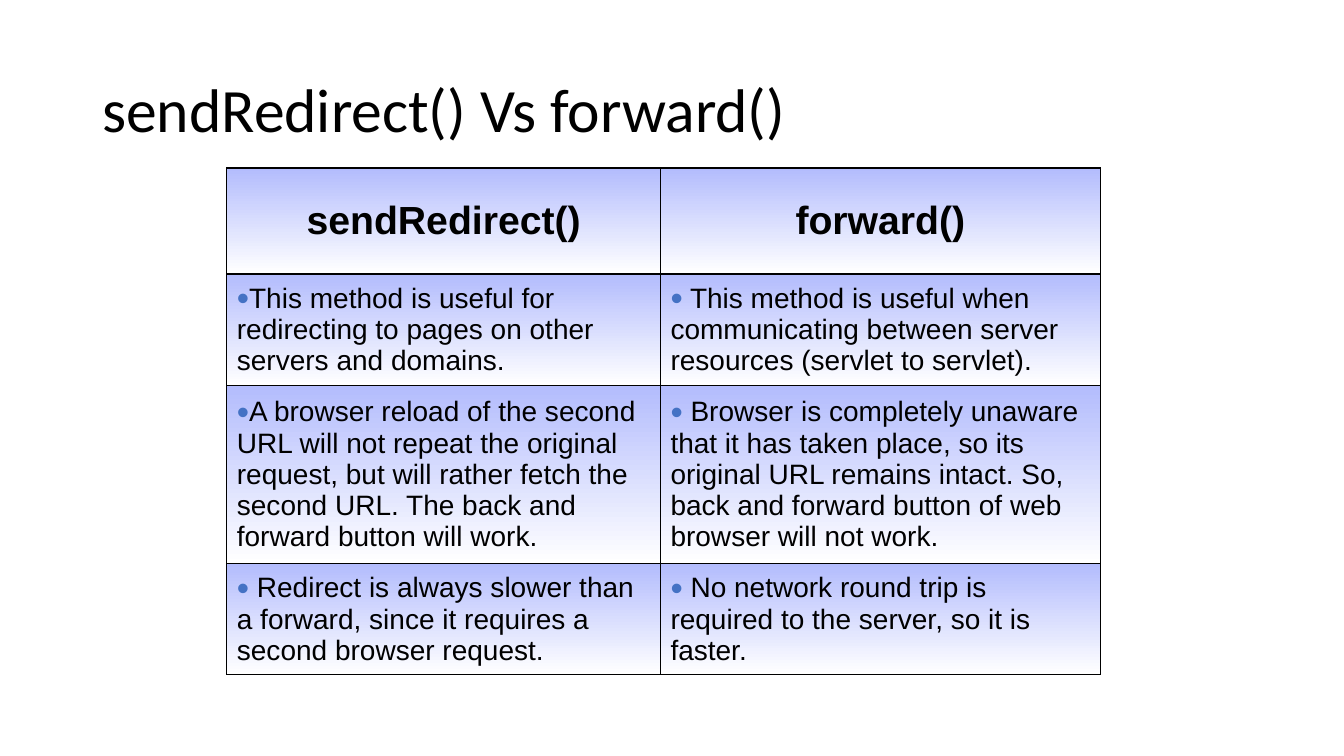
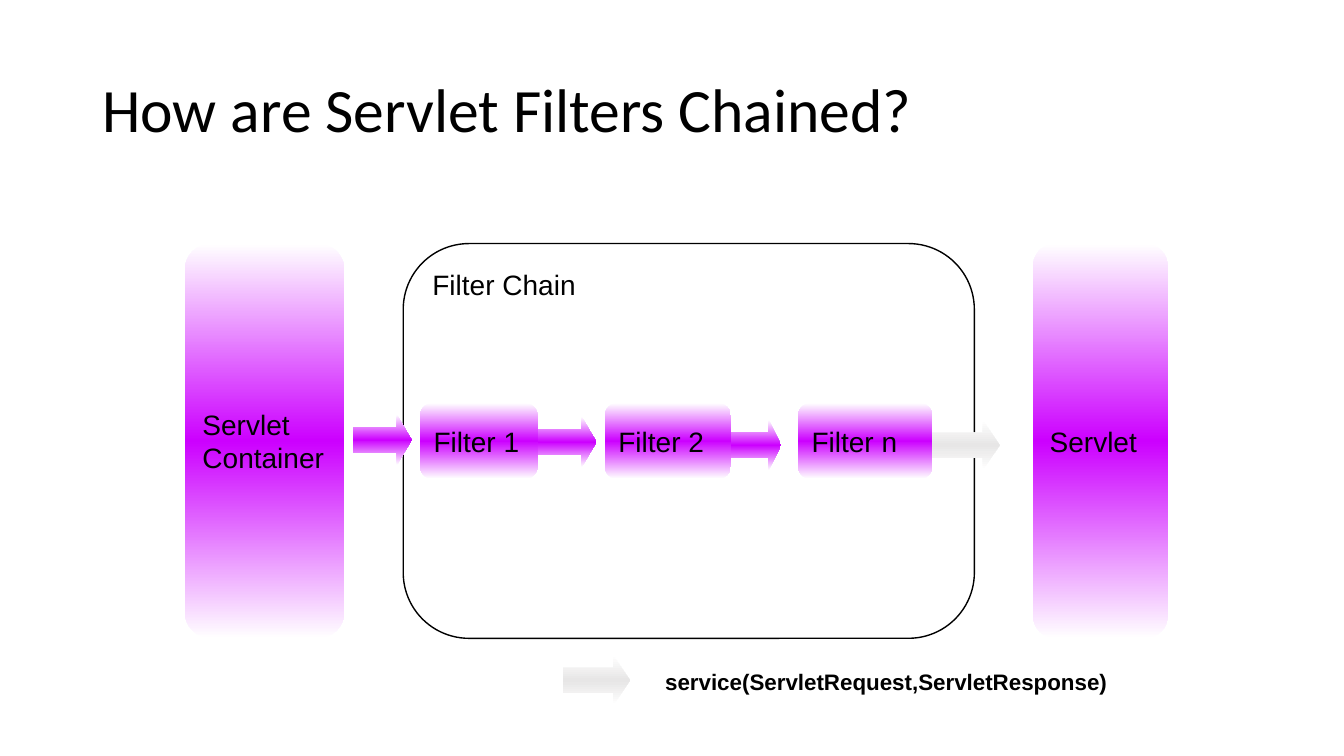
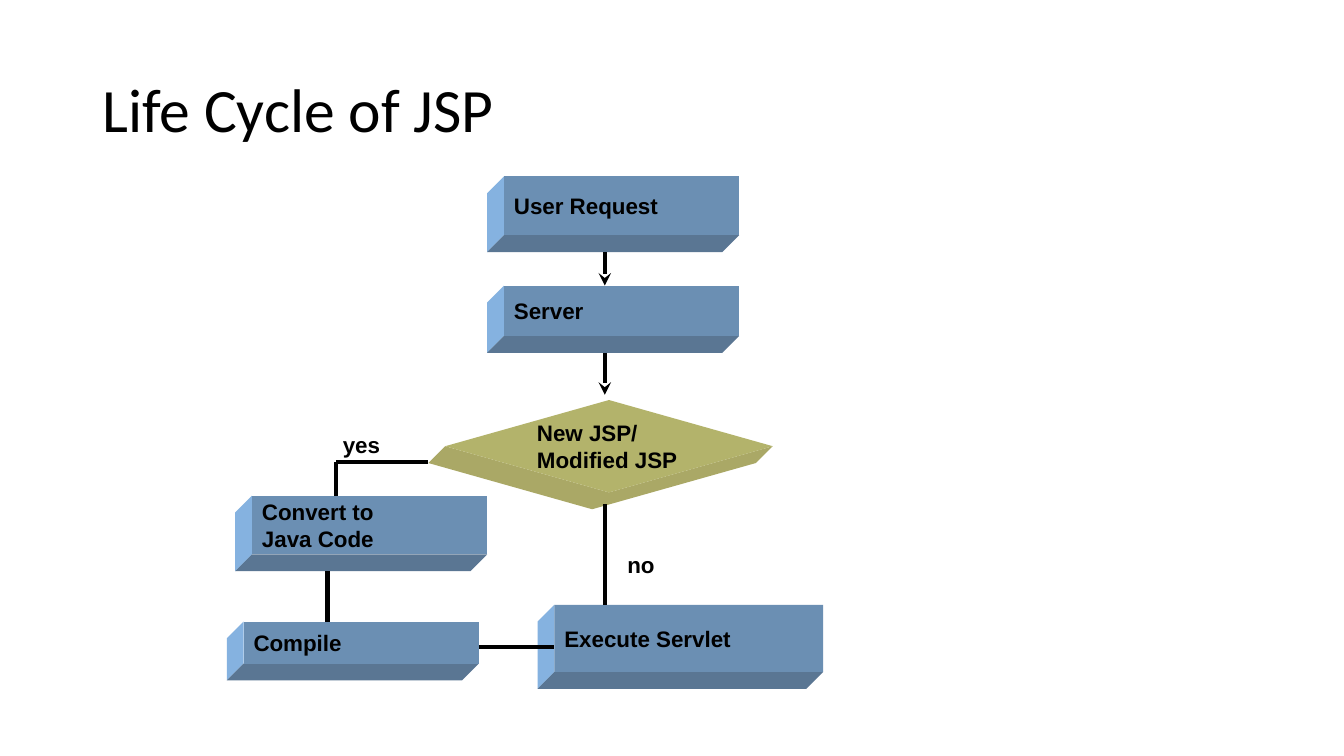
from lxml.etree import SubElement
from pptx import Presentation
from pptx.dml.color import RGBColor
from pptx.enum.shapes import MSO_CONNECTOR, MSO_SHAPE
from pptx.enum.text import MSO_ANCHOR, PP_ALIGN
from pptx.oxml.ns import qn
from pptx.util import Pt

EMU_PER_PX = 9525
SLIDE_W, SLIDE_H = 1280, 720
BLACK, WHITE = "000000", "FFFFFF"
PERIWINKLE, BULLET_BLUE = "B3BCFD", "4472C4"
MAGENTA, PALE_GREY = "CC00FF", "E7E6E6"
BLOCK_FACE, BLOCK_LEFT, BLOCK_BASE = "6B8FB3", "85B2E0", "5A7693"
DECISION_FACE, DECISION_SIDE = "B3B36B", "AAA866"
DEPTH = 16


def px(*lengths):
    return [round(length * EMU_PER_PX) for length in lengths]


def rgb(hex_colour):
    return RGBColor.from_string(hex_colour)


# Shared styling
def paint_gradient(fill, *colours):
    """Spread the colours evenly from top to bottom."""
    fill.gradient()
    fill.gradient_angle = 270
    stops = fill._xPr.find(".//" + qn("a:gsLst"))
    stops.clear()
    for i, colour in enumerate(colours):
        stop = SubElement(stops, qn("a:gs"), pos=str(100000 * i // (len(colours) - 1)))
        SubElement(stop, qn("a:srgbClr"), val=colour)


def write(frame, text, size, bold=False, font="Arial", anchor=MSO_ANCHOR.MIDDLE,
          wrap=True, align=PP_ALIGN.LEFT):
    frame.word_wrap = wrap
    frame.vertical_anchor = anchor
    frame.text = text
    for paragraph in frame.paragraphs:
        paragraph.alignment = align
        style_font(paragraph.font, size, bold, font)


def style_font(font, size, bold, name="Arial"):
    font.name, font.size, font.bold = name, Pt(size), bold
    font.color.rgb = rgb(BLACK)


def add_label(slide, box, text, size, **style):
    label = slide.shapes.add_textbox(*px(*box))
    write(label.text_frame, text, size, **style)
    return label


def add_plain_shape(slide, kind, box):
    shape = slide.shapes.add_shape(kind, *px(*box))
    shape.shadow.inherit = False
    shape.line.fill.background()
    return shape


def add_line(slide, start, end, width, arrow=False):
    line = slide.shapes.add_connector(MSO_CONNECTOR.STRAIGHT, *px(*start, *end))
    line.line.color.rgb = rgb(BLACK)
    line.line.width = Pt(width)
    if arrow:
        SubElement(line.line._get_or_add_ln(), qn("a:tailEnd"), type="stealth")
    SubElement(line._element.spPr, qn("a:effectLst"))


def add_titled_slide(deck, title, shadowed=False):
    slide = deck.slides.add_slide(deck.slide_layouts[6])
    heading = add_label(slide, (88, 38, 1104, 139), title, 44, font="Calibri")
    paragraph = heading.text_frame.paragraphs[0]
    paragraph.line_spacing = 0.9
    if shadowed:
        effects = SubElement(paragraph.runs[0].font._rPr, qn("a:effectLst"))
        shadow = SubElement(effects, qn("a:outerShdw"), dist="25400", dir="2700000")
        SubElement(shadow, qn("a:srgbClr"), val="808080")
    return slide


# Comparison table
def add_borders(cell):
    properties = cell._tc.get_or_add_tcPr()
    for side in ("lnL", "lnR", "lnT", "lnB"):
        border = SubElement(properties, qn("a:" + side), w=str(Pt(1)))
        SubElement(SubElement(border, qn("a:solidFill")), qn("a:srgbClr"), val=BLACK)


def add_bullet(paragraph):
    properties = paragraph._p.get_or_add_pPr()
    properties.set("marL", "0")
    properties.set("indent", "0")
    SubElement(SubElement(properties, qn("a:buClr")), qn("a:srgbClr"), val=BULLET_BLUE)
    SubElement(properties, qn("a:buSzPct"), val="125000")
    SubElement(properties, qn("a:buFont"), typeface="Arial")
    SubElement(properties, qn("a:buChar"), char="•")


def add_comparison(slide, left, top, col_widths, row_heights, rows):
    box = px(left, top, sum(col_widths), sum(row_heights))
    table = slide.shapes.add_table(len(rows), len(col_widths), *box).table
    for column, width in zip(table.columns, px(*col_widths)):
        column.width = width
    for row, height in zip(table.rows, px(*row_heights)):
        row.height = height
    for r, texts in enumerate(rows):
        for c, text in enumerate(texts):
            cell = table.cell(r, c)
            add_borders(cell)
            paint_gradient(cell.fill, PERIWINKLE, WHITE)
            cell.vertical_anchor = MSO_ANCHOR.MIDDLE
            cell.text = text
            paragraph = cell.text_frame.paragraphs[0]
            if r == 0:
                paragraph.alignment = PP_ALIGN.CENTER
                style_font(paragraph.font, 28, True)
            else:
                add_bullet(paragraph)
                style_font(paragraph.font, 20, False)


def build_comparison_slide(deck):
    slide = add_titled_slide(deck, "sendRedirect() Vs forward()")
    add_comparison(slide, 216, 160, (413, 419), (101, 106, 170, 105), [
        ("sendRedirect()", "forward()"),
        ("This method is useful for redirecting to pages on other servers and domains.",
         " This method is useful when communicating between server resources "
         "(servlet to servlet)."),
        ("A browser reload of the second URL will not repeat the original request, but will "
         "rather fetch the second URL. The back and forward button will work.",
         " Browser is completely unaware that it has taken place, so its original URL remains "
         "intact. So, back and forward button of web browser will not work."),
        (" Redirect is always slower than a forward, since it requires a second "
         "browser request.",
         " No network round trip is required to the server, so it is faster."),
    ])


# Filter chain diagram
def add_stage(slide, box, text):
    stage = add_plain_shape(slide, MSO_SHAPE.ROUNDED_RECTANGLE, box)
    paint_gradient(stage.fill, WHITE, MAGENTA, WHITE)
    write(stage.text_frame, text, 20)


def add_flow_arrow(slide, left, top, width, colour=MAGENTA, height=48):
    arrow = add_plain_shape(slide, MSO_SHAPE.RIGHT_ARROW, (left, top, width, height))
    arrow.adjustments[1] = width / height / 4
    paint_gradient(arrow.fill, WHITE, colour, WHITE)


def add_filter_chain(slide, left, top, width, height):
    chain = add_plain_shape(slide, MSO_SHAPE.ROUNDED_RECTANGLE, (left, top, width, height))
    chain.fill.background()
    chain.line.color.rgb = rgb(BLACK)
    chain.line.width = Pt(1)
    write(chain.text_frame, "Filter Chain", 20, anchor=MSO_ANCHOR.TOP)
    for dx, filter_width, name in ((16, 112, "Filter 1"), (192, 120, "Filter 2"),
                                   (376, 128, "Filter n")):
        add_stage(slide, (left + dx, top + 152, filter_width, 72), name)
    add_flow_arrow(slide, left + 128, top + 165, 56)
    add_flow_arrow(slide, left + 312, top + 168, 48)
    add_flow_arrow(slide, left + 504, top + 168, 64, PALE_GREY)
    # Entry into the chain
    add_line(slide, (left, top + 168), (left, top + 208), 1)
    add_flow_arrow(slide, left - 48, top + 163, 56)


def add_legend(slide, left, top):
    add_flow_arrow(slide, left, top, 64, PALE_GREY)
    add_label(slide, (left + 88, top + 8, 448, 36), "service(ServletRequest,ServletResponse)",
              16, bold=True, anchor=MSO_ANCHOR.TOP)


def build_filter_slide(deck):
    slide = add_titled_slide(deck, "How are Servlet Filters Chained?")
    top, height = 232, 376
    add_stage(slide, (176, top, 152, height), "Servlet Container")
    add_stage(slide, (984, top, 128, height), "Servlet")
    add_filter_chain(slide, 384, top, 544, height)
    add_legend(slide, 536, 624)


# Life cycle flowchart
def add_side(slide, edge, colour):
    """Extrude an edge of a front face down and to the left."""
    outline = edge + [(x - DEPTH, y + DEPTH) for x, y in reversed(edge)]
    builder = slide.shapes.build_freeform(*outline[0], scale=EMU_PER_PX)
    builder.add_line_segments(outline[1:], close=True)
    side = builder.convert_to_shape()
    side.shadow.inherit = False
    side.fill.solid()
    side.fill.fore_color.rgb = rgb(colour)
    side.line.fill.background()


def add_face(slide, kind, box, text, colour):
    face = add_plain_shape(slide, kind, box)
    face.fill.solid()
    face.fill.fore_color.rgb = rgb(colour)
    write(face.text_frame, text, 16, bold=True, wrap=False)


def add_block(slide, box, text, kind=MSO_SHAPE.FLOWCHART_PROCESS):
    left, top, width, height = box
    corner = (left, top + height)
    add_side(slide, [(left, top), corner], BLOCK_LEFT)
    add_side(slide, [corner, (left + width, top + height)], BLOCK_BASE)
    add_face(slide, kind, box, text, BLOCK_FACE)


def add_decision(slide, box, text):
    left, top, width, height = box
    middle = top + height // 2
    add_side(slide, [(left, middle), (left + width // 2, top + height),
                     (left + width, middle)], DECISION_SIDE)
    add_face(slide, MSO_SHAPE.FLOWCHART_DECISION, box, text, DECISION_FACE)


def build_life_cycle_slide(deck):
    slide = add_titled_slide(deck, "Life Cycle of JSP", shadowed=True)
    # Steps
    add_block(slide, (480, 168, 224, 56), "User Request")
    add_block(slide, (480, 272, 224, 48), "Server")
    add_block(slide, (240, 472, 224, 56), "Convert to\nJava Code")
    add_decision(slide, (424, 381, 312, 88), "New JSP/\nModified JSP")
    add_block(slide, (232, 592, 224, 40), "Compile")
    add_block(slide, (528, 576, 256, 64), "Execute Servlet", MSO_SHAPE.RECTANGLE)
    # Flow
    for start, end, arrow in (
        ((576, 240), (576, 272), True),
        ((576, 336), (576, 376), True),
        ((408, 440), (320, 440), False),
        ((320, 440), (320, 472), False),
        ((312, 544), (312, 592), False),
        ((456, 616), (528, 616), False),
        ((576, 480), (576, 576), False),
    ):
        add_line(slide, start, end, 3, arrow)
    # Branch labels
    for box, answer in (((317, 406, 55, 36), "yes"), ((588, 520, 45, 36), "no")):
        add_label(slide, box, answer, 16, bold=True, wrap=False, anchor=MSO_ANCHOR.TOP)


def main():
    deck = Presentation()
    deck.slide_width, deck.slide_height = px(SLIDE_W, SLIDE_H)
    build_comparison_slide(deck)
    build_filter_slide(deck)
    build_life_cycle_slide(deck)
    deck.save("out.pptx")


if __name__ == "__main__":
    main()
